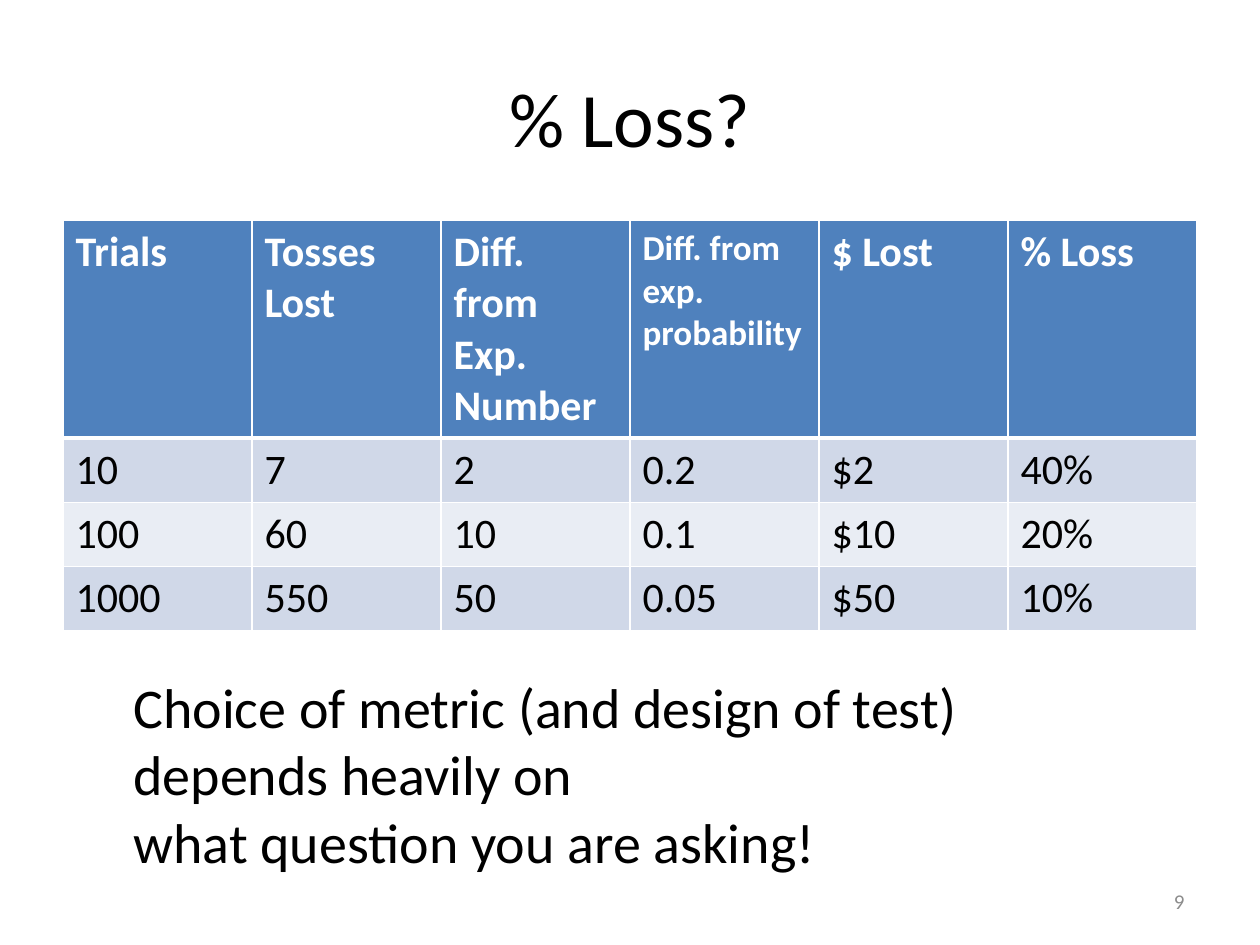
from pptx import Presentation
from pptx.util import Inches, Pt
from pptx.dml.color import RGBColor
from pptx.enum.text import PP_ALIGN, MSO_ANCHOR
from pptx.oxml import parse_xml
from pptx.oxml.ns import nsdecls

HUES = {"ink": "000000", "head": "4F81BD", "odd": "D0D8E8",
        "even": "E9EDF4", "white": "FFFFFF", "gray": "8C8C8C"}
ROWS = [
    ["Trials", "Tosses Lost", "Diff. from Exp. Number",
     "Diff. from exp. probability", "$ Lost", "% Loss"],
    ["10", "7", "2", "0.2", "$2", "40%"],
    ["100", "60", "10", "0.1", "$10", "20%"],
    ["1000", "550", "50", "0.05", "$50", "10%"],
]
NOTE = ["Choice of metric (and design of test)", "depends heavily on",
        "what question you are asking!"]


def write(frame, *lines, size=24, hue="ink", bold=False,
          align=PP_ALIGN.LEFT, anchor=MSO_ANCHOR.TOP, wrap=True):
    frame.word_wrap = wrap
    frame.vertical_anchor = anchor
    for i, line in enumerate(lines):
        para = frame.paragraphs[0] if i == 0 else frame.add_paragraph()
        para.alignment = align
        run = para.add_run()
        run.text = line
        run.font.name = "Calibri"
        run.font.size = Pt(size)
        run.font.bold = bold
        run.font.color.rgb = RGBColor.from_string(HUES[hue])


def edge(cell, side, width):
    line = parse_xml(
        f'<a:{side} {nsdecls("a")} w="{Pt(width)}"><a:solidFill>'
        f'<a:srgbClr val="{HUES["white"]}"/></a:solidFill></a:{side}>')
    cell._tc.get_or_add_tcPr().append(line)


deck = Presentation()
deck.slide_width, deck.slide_height = Inches(10), Inches(7.5)
wide, high = deck.slide_width, deck.slide_height
slide = deck.slides.add_slide(deck.slide_layouts[5])
left, span = int(wide * 0.05), int(wide * 0.9)

title = slide.shapes.title
title.left, title.top = left, int(high * 0.04)
title.width, title.height = span, Inches(1.25)
write(title.text_frame, "% Loss?", size=44, align=PP_ALIGN.CENTER,
      anchor=MSO_ANCHOR.MIDDLE)

grid = slide.shapes.add_table(len(ROWS), len(ROWS[0]), left, Inches(1.75),
                              span, Inches(3.25)).table
for col in grid.columns:
    col.width = span // len(ROWS[0])
for r, row in enumerate(ROWS):
    head = r == 0
    grid.rows[r].height = Inches(1.72 if head else 0.51)
    fill = "head" if head else "odd" if r % 2 else "even"
    for c, text in enumerate(row):
        cell = grid.cell(r, c)
        write(cell.text_frame, text, size=20 if head and c == 3 else 24,
              hue="white" if head else "ink", bold=head)
        for side in ("lnL", "lnR", "lnT", "lnB"):
            thick = (head and side == "lnB") or (r == 1 and side == "lnT")
            edge(cell, side, 3 if thick else 1)
        cell.fill.solid()
        cell.fill.fore_color.rgb = RGBColor.from_string(HUES[fill])

note = slide.shapes.add_textbox(Inches(0.96), Inches(5.29),
                                Inches(6.81), Inches(1.72))
write(note.text_frame, *NOTE, size=32, wrap=False)

page = slide.shapes.add_textbox(Inches(7.17), Inches(6.95),
                                Inches(2.33), Inches(0.4))
write(page.text_frame, "9", size=12, hue="gray", align=PP_ALIGN.RIGHT,
      anchor=MSO_ANCHOR.MIDDLE)

deck.save("out.pptx")
